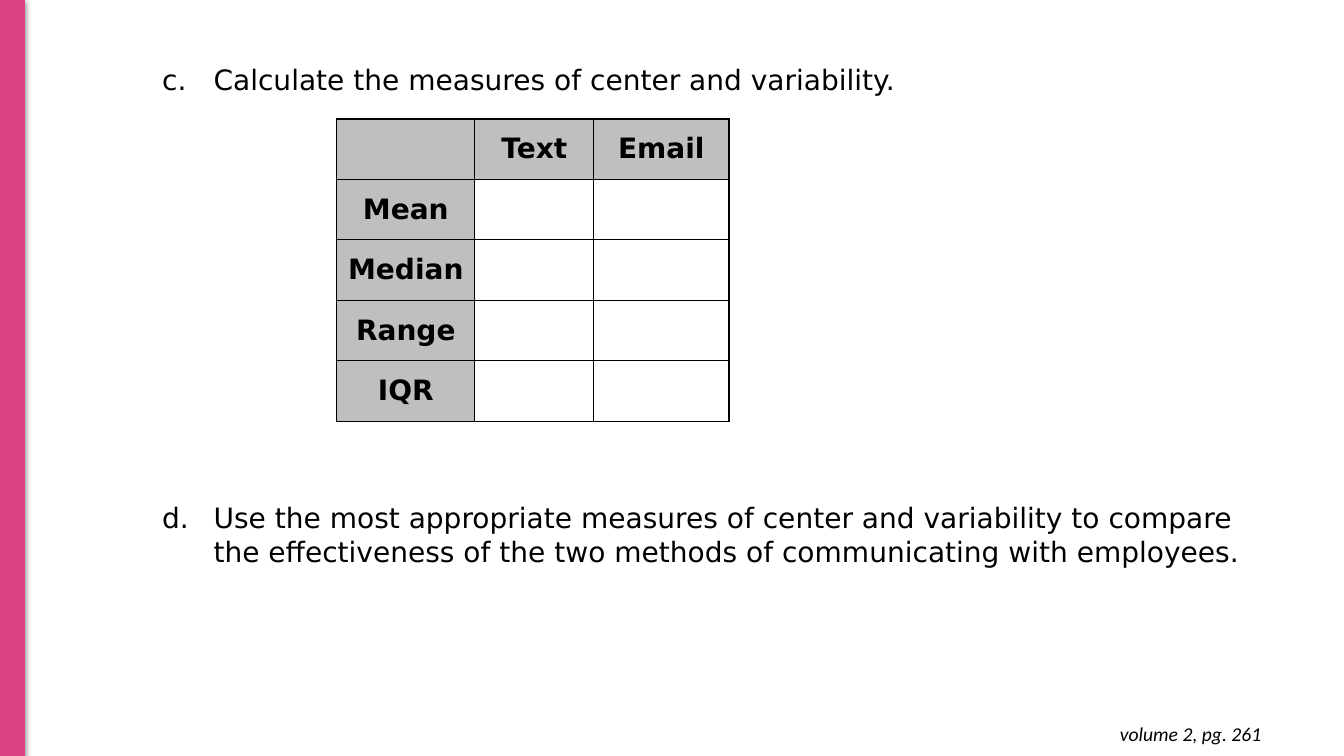
from lxml.etree import SubElement
from pptx import Presentation
from pptx.dml.color import RGBColor
from pptx.enum.shapes import MSO_SHAPE
from pptx.enum.text import MSO_ANCHOR, PP_ALIGN
from pptx.oxml import parse_xml
from pptx.oxml.ns import nsdecls, qn
from pptx.util import Inches, Pt


def rgb(value):
    return RGBColor.from_string(value)


def write(paragraph, text, **font_format):
    """Add text to a paragraph as one black run with the given font values."""
    run = paragraph.add_run()
    run.text = text
    for name, value in font_format.items():
        setattr(run.font, name, value)
    run.font.color.rgb = rgb("000000")


BODY = {"name": "DejaVu Sans", "size": Pt(20)}

presentation = Presentation()
presentation.slide_width = Inches(13.33)
presentation.slide_height = Inches(7.5)
slide = presentation.slides.add_slide(presentation.slide_layouts[6])

# Side band with a soft shadow
band = slide.shapes.add_shape(
    MSO_SHAPE.RECTANGLE, 0, 0, Inches(0.24), Inches(7.51))
band.fill.solid()
band.fill.fore_color.rgb = rgb("DA4487")
band.line.color.rgb = rgb("DA4487")
band.line.width = Pt(0.75)
band.shadow.inherit = False
effects = band.element.spPr.find(qn("a:effectLst"))
effects.append(parse_xml(
    f'<a:outerShdw {nsdecls("a")} blurRad="{Pt(4.5)}" dist="{Pt(1.5)}" '
    'dir="5400000" rotWithShape="0"><a:srgbClr val="000000">'
    '<a:alpha val="50000"/></a:srgbClr></a:outerShdw>'))

# Page reference
reference = slide.shapes.add_textbox(
    Inches(9.73), Inches(7.06), Inches(2.88), Inches(0.44)).text_frame
reference.word_wrap = True
reference.margin_top = reference.margin_bottom = Inches(0.1)
reference.paragraphs[0].alignment = PP_ALIGN.RIGHT
write(reference.paragraphs[0], "volume 2, pg. 261",
      name="Calibri", size=Pt(14), italic=True)

# Lettered questions, with room for the table between them
questions = slide.shapes.add_textbox(
    Inches(1), Inches(0.57), Inches(11.5), Inches(6.29)).text_frame
questions.word_wrap = True
tasks = [
    "Calculate the measures of center and variability.",
    "Use the most appropriate measures of center and variability to compare "
    "the effectiveness of the two methods of communicating with employees.",
]
for index, task in enumerate(tasks):
    question = questions.add_paragraph() if index else questions.paragraphs[0]
    if index:
        question.space_before = Pt(289)
    properties = question._p.get_or_add_pPr()
    properties.set("marL", str(Inches(1.02)))
    properties.set("indent", str(Inches(-0.51)))
    bullet_color = SubElement(properties, qn("a:buClr"))
    SubElement(bullet_color, qn("a:srgbClr"), val="000000")
    SubElement(properties, qn("a:buFont"), typeface="DejaVu Sans")
    SubElement(properties, qn("a:buAutoNum"),
               type="alphaLcPeriod", startAt=str(index + 3))
    write(question, task, **BODY)

# Table of measures
measures = [
    ["", "Text", "Email"],
    ["Mean", "", ""],
    ["Median", "", ""],
    ["Range", "", ""],
    ["IQR", "", ""],
]
column_widths = [1.37, 1.18, 1.34]
table = slide.shapes.add_table(
    len(measures), len(column_widths), Inches(3.34), Inches(1.18),
    Inches(sum(column_widths)), Inches(0.6 * len(measures))).table
table.first_row = table.horz_banding = False
for column, width in zip(table.columns, column_widths):
    column.width = Inches(width)

for row, labels in enumerate(measures):
    for column, label in enumerate(labels):
        cell = table.cell(row, column)
        cell.vertical_anchor = MSO_ANCHOR.MIDDLE
        cell.margin_left = cell.margin_right = Inches(0.07)
        cell.margin_top = cell.margin_bottom = 0
        if row == 0 or column == 0:
            cell.fill.solid()
            cell.fill.fore_color.rgb = rgb("BFBFBF")
        else:
            cell.fill.background()
        if label:
            cell.text_frame.paragraphs[0].alignment = PP_ALIGN.CENTER
            write(cell.text_frame.paragraphs[0], label, bold=True, **BODY)
        for position, side in enumerate(["lnL", "lnR", "lnT", "lnB"]):
            cell._tc.get_or_add_tcPr().insert(position, parse_xml(
                f'<a:{side} {nsdecls("a")} w="{Pt(1)}"><a:solidFill>'
                f'<a:srgbClr val="000000"/></a:solidFill></a:{side}>'))

presentation.save("out.pptx")
